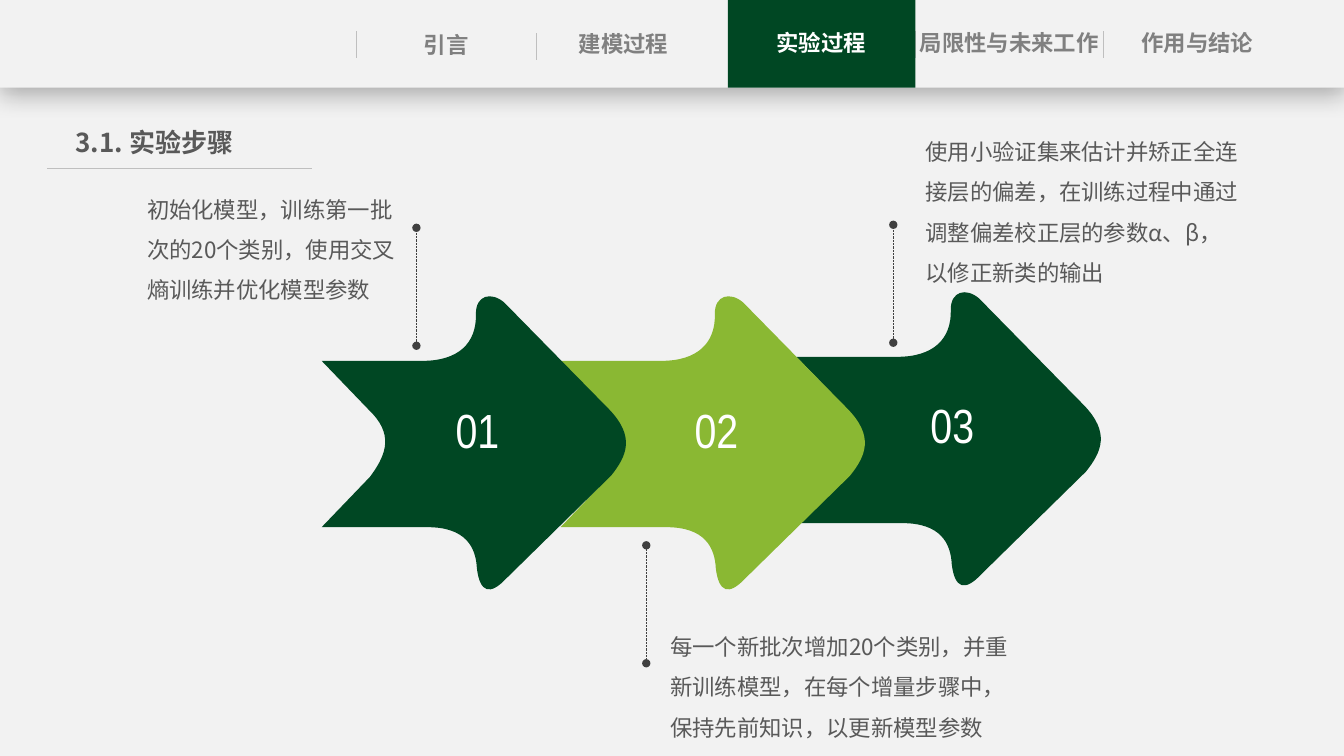
from dataclasses import dataclass

from lxml import etree
from pptx import Presentation
from pptx.dml.color import RGBColor
from pptx.enum import dml, lang, shapes, text
from pptx.oxml import ns
from pptx.util import Pt

PX = 9144
WIDTH, HEIGHT = 1333, 750
HEADER_HEIGHT = 87

PAPER = RGBColor(0xF2, 0xF2, 0xF2)
WHITE = RGBColor(0xFF, 0xFF, 0xFF)
DARK_GREEN = RGBColor(0x00, 0x47, 0x23)
LIGHT_GREEN = RGBColor(0x8A, 0xB8, 0x33)
RULE_GRAY = RGBColor(0xBF, 0xBF, 0xBF)
TAB_GRAY = RGBColor(0x80, 0x80, 0x80)
BODY_GRAY = RGBColor(0x59, 0x59, 0x59)
LEADER_GRAY = RGBColor(0x40, 0x40, 0x40)

CJK_FONT = "Noto Sans CJK SC"
NUMBER_FONT = "Arial Narrow"

ARROW_WIDTH, ARROW_HEIGHT = 302, 291
ARROW_PATH = [
    ("a:moveTo", [(0, 64)]),
    ("a:lnTo", [(100, 64)]),
    ("a:cubicBezTo", [(135, 64), (154, 47), (153, 17)]),
    ("a:cubicBezTo", [(153, -1), (168, -5), (181, 6)]),
    ("a:lnTo", [(285, 112)]),
    ("a:cubicBezTo", [(311, 139), (303, 158), (287, 178)]),
    ("a:lnTo", [(183, 280)]),
    ("a:cubicBezTo", [(167, 297), (157, 294), (154, 270)]),
    ("a:cubicBezTo", [(153, 249), (143, 229), (105, 229)]),
    ("a:lnTo", [(0, 229)]),
    ("a:lnTo", [(48, 179)]),
    ("a:cubicBezTo", [(62, 160), (72, 140), (51, 117)]),
    ("a:lnTo", [(0, 64)]),
    ("a:close", []),
]


@dataclass
class Tab:
    """A label in the header."""
    label: str
    left: int
    top: int
    width: int = 147
    color: RGBColor = TAB_GRAY


@dataclass
class Step:
    """A numbered arrow with its leader line and description."""
    number: str
    left: int
    top: int
    color: RGBColor
    number_left: int
    number_width: int
    leader: tuple[int, int]
    note: str
    note_box: tuple[int, int, int, int]


TABS = [
    Tab("引言", 369, 26),
    Tab("建模过程", 545, 25),
    Tab("实验过程", 741, 24, color=WHITE),
    Tab("局限性与未来工作", 908, 24, width=186),
    Tab("作用与结论", 1114, 24),
]
DIVIDERS = [(353, 31), (532, 33), (722, 31), (908, 31), (1094, 31)]
STEPS = [
    Step("01", 319, 294, DARK_GREEN, 442, 87, (413, 226),
         "初始化模型，训练第一批次的20个类别，使用交叉熵训练并优化模型参数",
         (136, 176, 269, 127)),
    Step("02", 556, 294, LIGHT_GREEN, 679, 95, (641, 541),
         "每一个新批次增加20个类别，并重新训练模型，在每个增量步骤中，保持先前知识，以更新模型参数",
         (655, 610, 355, 127)),
    Step("03", 790, 290, DARK_GREEN, 913, 97, (886, 223),
         "使用小验证集来估计并矫正全连接层的偏差，在训练过程中通过调整偏差校正层的参数α、β，以修正新类的输出",
         (908, 119, 332, 167)),
]


def write(shape, content: str, *, size: float, color: RGBColor, font: str = CJK_FONT,
          bold: bool = False, align=text.PP_ALIGN.LEFT, spacing: float = 1.0,
          side_inset: int = 10, wrap: bool = True) -> None:
    """Write one formatted paragraph into a shape."""
    frame = shape.text_frame
    frame.word_wrap = wrap
    frame.auto_size = text.MSO_AUTO_SIZE.SHAPE_TO_FIT_TEXT
    frame.vertical_anchor = text.MSO_ANCHOR.TOP
    frame.margin_left = frame.margin_right = side_inset * PX
    frame.margin_top = frame.margin_bottom = 5 * PX
    paragraph = frame.paragraphs[0]
    paragraph.alignment = align
    paragraph.line_spacing = spacing
    run = paragraph.add_run()
    run.text = content
    run.font.size = Pt(size)
    run.font.bold = bold
    run.font.color.rgb = color
    run.font.name = font
    run.font.language_id = lang.MSO_LANGUAGE_ID.SIMPLIFIED_CHINESE
    latin = run.font._element.find(ns.qn("a:latin"))
    latin.addnext(etree.Element(ns.qn("a:ea"), typeface=font))


def add_text(slide, left: int, top: int, width: int, height: int, content: str, **style) -> None:
    """Add a text box."""
    box = slide.shapes.add_textbox(left * PX, top * PX, width * PX, height * PX)
    write(box, content, **style)


def paint(shape, color: RGBColor) -> None:
    """Give a shape a flat fill without line or shadow."""
    shape.shadow.inherit = False
    shape.fill.solid()
    shape.fill.fore_color.rgb = color
    shape.line.fill.background()


def add_rectangle(slide, left: int, top: int, width: int, height: int, color: RGBColor):
    """Add a flat rectangle."""
    shape = slide.shapes.add_shape(
        shapes.MSO_SHAPE.RECTANGLE, left * PX, top * PX, width * PX, height * PX)
    paint(shape, color)
    return shape


def add_line(slide, start: tuple[int, int], end: tuple[int, int], color: RGBColor,
             dotted: bool = False) -> None:
    """Add a thin line, optionally dotted with round ends."""
    line = slide.shapes.add_connector(
        shapes.MSO_CONNECTOR.STRAIGHT, *(value * PX for value in (*start, *end)))
    line.line.color.rgb = color
    line.line.width = Pt(0.5)
    if dotted:
        line.line.dash_style = dml.MSO_LINE.ROUND_DOT
        outline = line.line._get_or_add_ln()
        for tag in ("a:headEnd", "a:tailEnd"):
            etree.SubElement(outline, ns.qn(tag), type="oval")
    etree.SubElement(line._element.spPr, ns.qn("a:effectLst"))


def add_arrow(slide, step: Step) -> None:
    """Add a curved arrow and its number."""
    builder = slide.shapes.build_freeform(step.left, step.top, scale=PX)
    builder.add_line_segments([(step.left + ARROW_WIDTH, step.top + ARROW_HEIGHT)])
    arrow = builder.convert_to_shape()
    outline = arrow._element.spPr.find(".//" + ns.qn("a:path"))
    for child in list(outline):
        outline.remove(child)
    for command, points in ARROW_PATH:
        segment = etree.SubElement(outline, ns.qn(command))
        for x, y in points:
            etree.SubElement(segment, ns.qn("a:pt"), x=str(x), y=str(y))
    paint(arrow, step.color)
    number = add_rectangle(
        slide, step.number_left, step.top + 98, step.number_width, 92, step.color)
    write(number, step.number, size=34.2, color=WHITE, font=NUMBER_FONT, wrap=False)


def add_note(slide, step: Step) -> None:
    """Add the leader line and description of a step."""
    x, y = step.leader
    add_line(slide, (x, y + 117), (x, y), LEADER_GRAY, dotted=True)
    add_text(slide, *step.note_box, step.note, size=16, color=BODY_GRAY, spacing=1.5)


def add_backdrop(slide, master) -> None:
    """Place the paper and the shadowed header band on the slide master."""
    paper = add_rectangle(slide, 0, 0, WIDTH, HEIGHT, PAPER)
    band = add_rectangle(slide, 0, 0, WIDTH, HEADER_HEIGHT, PAPER)
    effects = band._element.spPr.find(ns.qn("a:effectLst"))
    shadow = etree.SubElement(
        effects, ns.qn("a:outerShdw"), blurRad=str(Pt(18)), dist=str(Pt(4)),
        dir="5400000", algn="t", rotWithShape="0")
    shade = etree.SubElement(shadow, ns.qn("a:srgbClr"), val="000000")
    etree.SubElement(shade, ns.qn("a:alpha"), val="29000")
    for shape_id, shape in enumerate((paper, band), start=101):
        shape._element.nvSpPr.cNvPr.set("id", str(shape_id))
        master.shapes._spTree.append(shape._element)


def add_tabs(slide) -> None:
    """Add the header dividers, the active tab and the labels."""
    for x, y in DIVIDERS:
        add_line(slide, (x, y), (x, y + 27), RULE_GRAY)
    add_rectangle(slide, 722, 0, 186, HEADER_HEIGHT, DARK_GREEN)
    for tab in TABS:
        add_text(slide, tab.left, tab.top, tab.width, 38, tab.label, size=16, bold=True,
                 color=tab.color, align=text.PP_ALIGN.CENTER, side_inset=0)


def main() -> None:
    """Build and save the presentation."""
    presentation = Presentation()
    presentation.slide_width = WIDTH * PX
    presentation.slide_height = HEIGHT * PX
    slide = presentation.slides.add_slide(presentation.slide_layouts[6])
    add_backdrop(slide, presentation.slide_master)
    add_tabs(slide)
    add_line(slide, (47, 167), (309, 167), RULE_GRAY)
    add_text(slide, 75, 121, 207, 42, "3.1. 实验步骤", size=18.6, bold=True,
             color=BODY_GRAY, side_inset=0)
    for step in reversed(STEPS):
        add_arrow(slide, step)
    for step in STEPS:
        add_note(slide, step)
    presentation.save("out.pptx")


if __name__ == "__main__":
    main()
